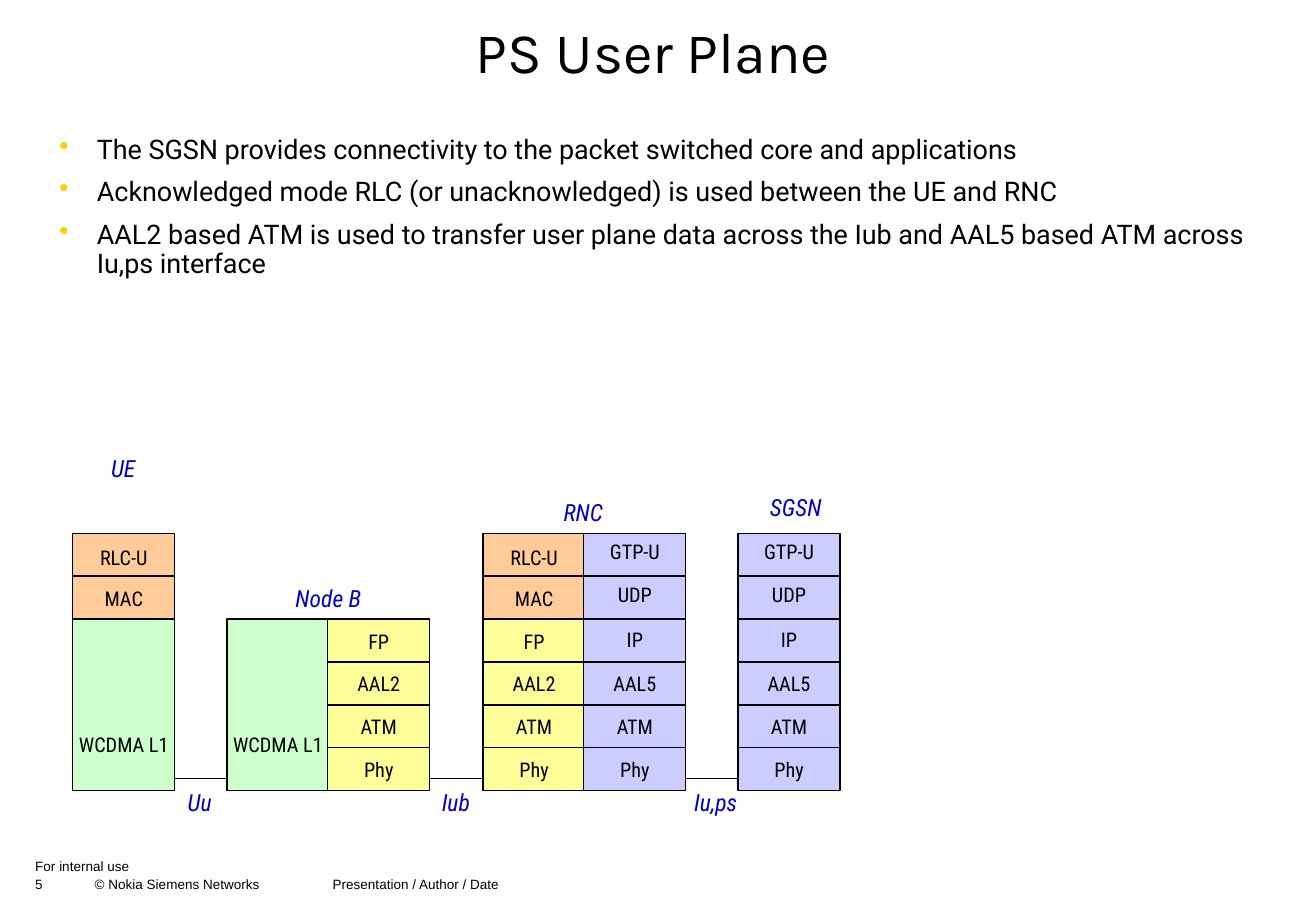
from lxml import etree
from pptx import Presentation
from pptx.dml.color import RGBColor
from pptx.enum import shapes, text
from pptx.oxml import ns
from pptx.util import Inches, Pt

BLACK = RGBColor(0x00, 0x00, 0x00)
BLUE = RGBColor(0x00, 0x00, 0xCC)
GREEN = RGBColor(0xCC, 0xFF, 0xCC)
ORANGE = RGBColor(0xFF, 0xCC, 0x99)
YELLOW = RGBColor(0xFF, 0xFF, 0x99)
LILAC = RGBColor(0xCC, 0xCC, 0xFF)
BULLET = RGBColor(0xFF, 0xCC, 0x00)

TITLE = dict(name="Karla", size=Pt(34))
BODY = dict(name="Roboto", size=Pt(16))
LAYER = dict(name="Roboto Condensed", size=Pt(12))
NODE = dict(name="Roboto Condensed", size=Pt(14), italic=True)
FOOTER = dict(name="Arial", size=Pt(8))


def write(p, words, font, color=BLACK):
    r = p.add_run()
    r.text = words
    for key, value in font.items():
        setattr(r.font, key, value)
    r.font.color.rgb = color


def add_box(x, y, w, h, inset=(0.1, 0.05)):
    tf = s.shapes.add_textbox(Inches(x), Inches(y), Inches(w), Inches(h)).text_frame
    tf.word_wrap = True
    tf.margin_left = tf.margin_right = Inches(inset[0])
    tf.margin_top = tf.margin_bottom = Inches(inset[1])
    return tf


prs = Presentation()
prs.slide_width, prs.slide_height = Inches(10.84), Inches(7.5)
s = prs.slides.add_slide(prs.slide_layouts[6])

# Title
tf = add_box(0.34, 0.07, 10.19, 0.77)
tf.vertical_anchor = text.MSO_ANCHOR.MIDDLE
p = tf.paragraphs[0]
p.alignment = text.PP_ALIGN.CENTER
p.line_spacing = 0.9
write(p, "PS User Plane ", TITLE)

# Bulleted points
points = [
    "The SGSN provides connectivity to the packet switched core and applications",
    "Acknowledged mode RLC (or unacknowledged) is used between the UE and RNC",
    "AAL2 based ATM is used to transfer user plane data across the Iub "
    "and AAL5 based ATM across Iu,ps interface",
]
tf = add_box(0.39, 1.07, 9.96, 2.09)
for i, point in enumerate(points):
    p = tf.add_paragraph() if i else tf.paragraphs[0]
    pPr = p._p.get_or_add_pPr()
    pPr.set("marL", str(Inches(0.31)))
    pPr.set("indent", str(-Inches(0.31)))
    clr = etree.SubElement(pPr, ns.qn("a:buClr"))
    etree.SubElement(clr, ns.qn("a:srgbClr"), val=str(BULLET))
    etree.SubElement(pPr, ns.qn("a:buChar"), char="•")
    p.line_spacing = 0.9
    if i:
        p.space_before = Pt(8)
    write(p, point, BODY)

# Protocol stacks: left edge, then layers from top to bottom ending on one base line
TOP, BASE, WIDTH, ROWS = 4.39, 6.51, 0.84, 6
ROW = (BASE - TOP) / ROWS
radio = [("RLC-U", ORANGE, 1), ("MAC", ORANGE, 1)]
wcdma = [("WCDMA L1", GREEN, 4)]
iub = [(name, YELLOW, 1) for name in ("FP", "AAL2", "ATM", "Phy")]
iu_ps = [(name, LILAC, 1) for name in ("GTP-U", "UDP", "IP", "AAL5", "ATM", "Phy")]
stacks = [
    (0.6, radio + wcdma),
    (1.87, wcdma),
    (2.7, iub),
    (3.98, radio + iub),
    (4.81, iu_ps),
    (6.08, iu_ps),
]
label_drop = {"WCDMA L1": 0.93, "RLC-U": 0.1, "GTP-U": 0.05, "UDP": 0.05, "IP": 0.07}
for x, layers in stacks:
    y = BASE - ROW * sum(rows for _, _, rows in layers)
    for name, color, rows in layers:
        sp = s.shapes.add_shape(shapes.MSO_SHAPE.RECTANGLE, Inches(x), Inches(y),
                                Inches(WIDTH), Inches(ROW * rows))
        sp.shadow.inherit = False
        sp.fill.solid()
        sp.fill.fore_color.rgb = color
        sp.line.color.rgb = BLACK
        sp.line.width = Pt(0.75)
        tf = sp.text_frame
        tf.vertical_anchor = text.MSO_ANCHOR.TOP
        tf.margin_left = tf.margin_right = tf.margin_bottom = 0
        tf.margin_top = Inches(label_drop.get(name, 0.08))
        p = tf.paragraphs[0]
        p.alignment = text.PP_ALIGN.CENTER
        write(p, name, LAYER)
        y += ROW * rows

# Links between the nodes
for x in (1.43, 3.54, 5.65):
    link = s.shapes.add_connector(shapes.MSO_CONNECTOR.STRAIGHT, Inches(x), Inches(6.41),
                                  Inches(x + 0.44), Inches(6.41))
    link.line.color.rgb = BLACK
    link.line.width = Pt(0.75)
    etree.SubElement(link._element.spPr, ns.qn("a:effectLst"))

# Node and interface names
names = [
    ("UE", 0.52, 3.69),
    ("Node B", 2.21, 4.76),
    ("RNC", 4.31, 4.05),
    ("SGSN", 6.06, 4.01),
    ("Uu", 1.15, 6.44),
    ("Iub", 3.26, 6.44),
    ("Iu,ps", 5.4, 6.44),
]
for name, x, y in names:
    p = add_box(x, y, 0.99, 0.34).paragraphs[0]
    p.alignment = text.PP_ALIGN.CENTER
    write(p, name, NODE, BLUE)

# Footer
p = add_box(0.29, 7.06, 3.61, 0.15, (0, 0)).paragraphs[0]
write(p, "For internal use", FOOTER)
p = add_box(0.29, 7.21, 8.11, 0.17, (0, 0)).paragraphs[0]
tabs = etree.SubElement(p._p.get_or_add_pPr(), ns.qn("a:tabLst"))
for stop in (0.49, 2.45):
    etree.SubElement(tabs, ns.qn("a:tab"), pos=str(Inches(stop)), algn="l")
write(p, "5\t© Nokia Siemens Networks \tPresentation / Author / Date", FOOTER)

prs.save("out.pptx")
